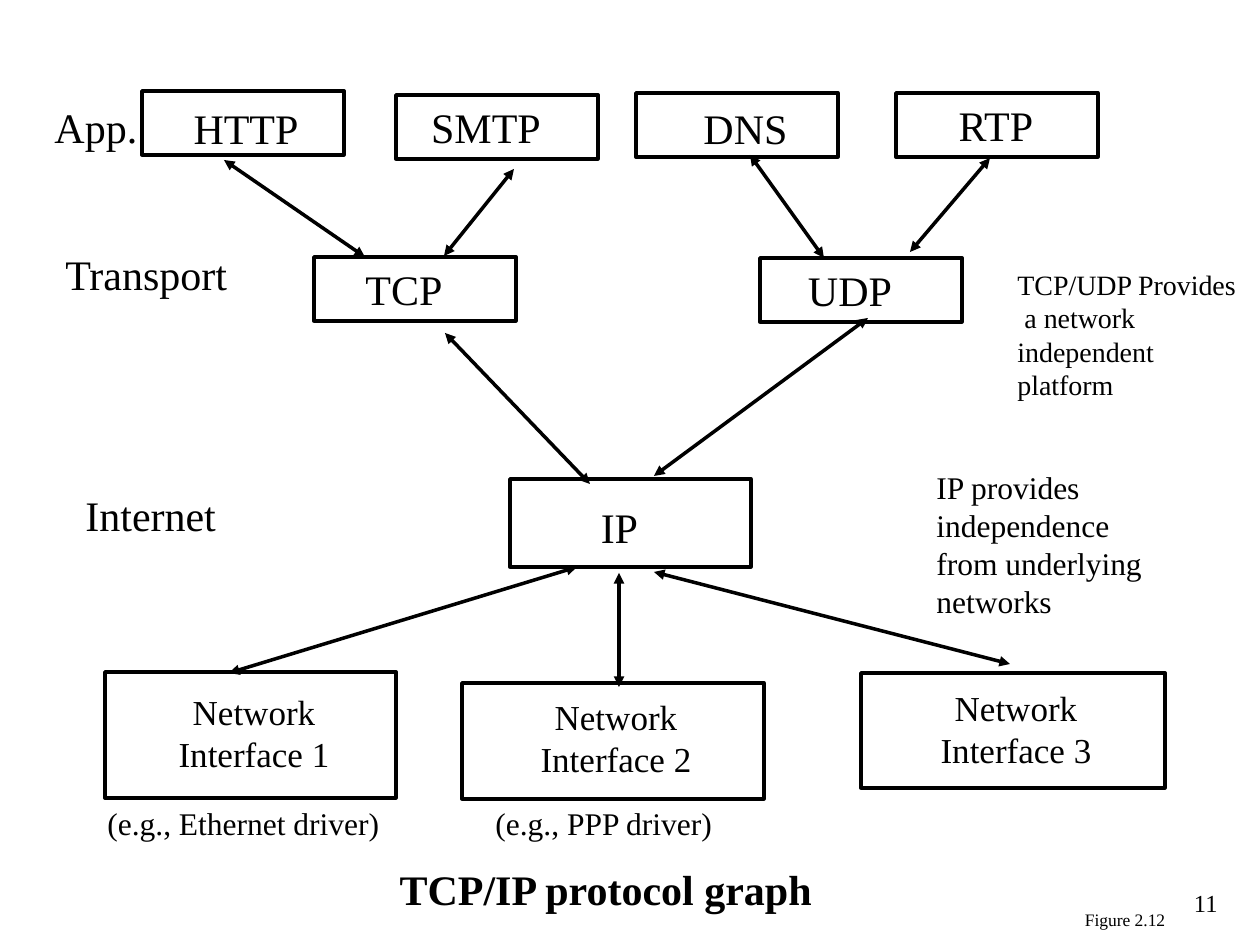
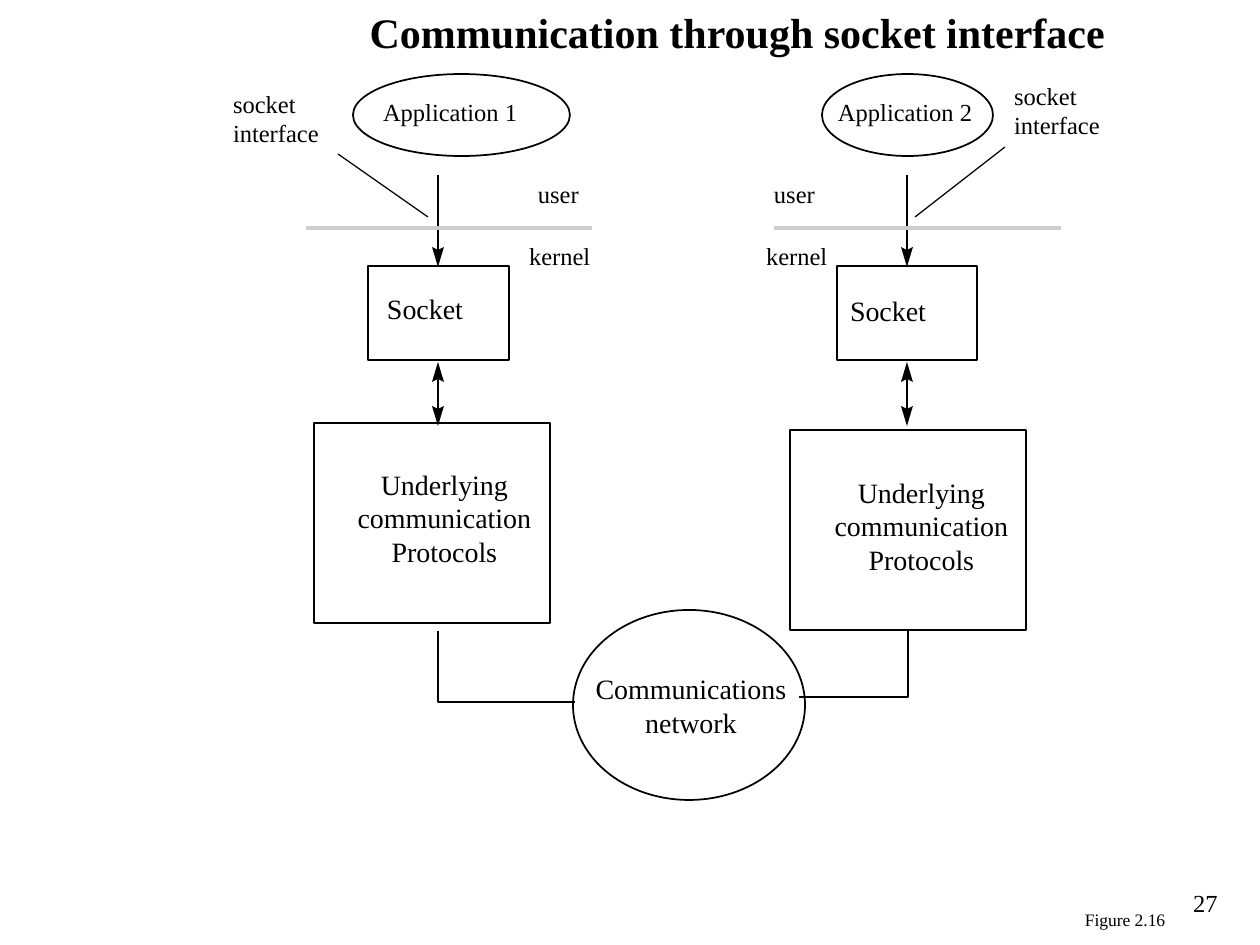
from lxml import etree
from pptx import Presentation
from pptx import util as u
from pptx.dml.color import RGBColor
from pptx.enum import shapes, text
from pptx.oxml.ns import qn

SCALE = u.Inches(1) / 126
FONT = "Times New Roman"
BLACK = RGBColor(0, 0, 0)
GREY = RGBColor(0xCE, 0xCE, 0xCE)
RECTANGLE = shapes.MSO_SHAPE.RECTANGLE
OVAL = shapes.MSO_SHAPE.OVAL
LEFT, CENTER, RIGHT = text.PP_ALIGN.LEFT, text.PP_ALIGN.CENTER, text.PP_ALIGN.RIGHT
TOP, MIDDLE = text.MSO_ANCHOR.TOP, text.MSO_ANCHOR.MIDDLE

PAGE_NUMBER_BOX = (1144, 882, 86, 63)
FIGURE_BOX = (1072, 903, 106, 34)

PROTOCOL_SIZE = (202, 64)
PROTOCOLS = [
    ("HTTP", (142, 91), (181, 96, 130, 63)),
    ("SMTP", (396, 95), (415, 95, 142, 63)),
    ("DNS", (636, 93), (688, 96, 115, 63)),
    ("RTP", (896, 93), (941, 93, 110, 63)),
    ("TCP", (314, 257), (353, 257, 102, 63)),
    ("UDP", (760, 258), (795, 258, 110, 63)),
]
IP_NODE = ("IP", (510, 479, 241, 88), (588, 495, 63, 63))
INTERFACES = [
    ("Network Interface 1", (105, 672, 291, 126), (136, 684, 236, 97)),
    ("Network Interface 2", (462, 683, 302, 116), (494, 689, 244, 97)),
    ("Network Interface 3", (861, 673, 304, 115), (893, 680, 246, 97)),
]
PROTOCOL_LINKS = [
    ((224, 160), (365, 257)),
    ((444, 256), (514, 169)),
    ((824, 258), (750, 155)),
    ((910, 252), (990, 158)),
    ((590, 484), (445, 333)),
    ((654, 476), (868, 318)),
    ((229, 673), (577, 567)),
    ((619, 687), (619, 573)),
    ((1010, 664), (654, 572)),
]
LAYER_NOTES = [
    (["App."], (42, 95, 108, 63), 24),
    (["Transport"], (53, 242, 189, 63), 24),
    (["Internet"], (73, 483, 156, 63), 24),
    (["TCP/UDP Provides", " a network", "independent", "platform"],
     (1005, 261, 246, 147), 16),
    (["IP provides", "independence", "from underlying", "networks"],
     (924, 462, 231, 164), 18),
    (["(e.g., Ethernet driver)"], (95, 798, 297, 50), 18),
    (["(e.g., PPP driver)"], (483, 798, 243, 50), 18),
]

HOSTS = [
    {
        "axis": 438,
        "application": ("Application 1", (353, 74, 217, 82), (383, 97, 158, 37)),
        "socket": ((368, 266, 141, 94), (387, 292, 118, 40)),
        "protocols": ((314, 423, 236, 200), (336, 461, 217, 113)),
        "labels": [("socket interface", (233, 89, 108, 59)),
                   ("user", (538, 179, 53, 34)), ("kernel", (529, 241, 68, 34))],
        "boundary": ((306, 228), (592, 228)),
        "pointer": ((338, 154), (428, 217)),
        "wire": [(438, 631), (438, 702), (575, 702)],
    },
    {
        "axis": 907,
        "application": ("Application 2", (822, 74, 171, 82), (838, 97, 145, 34)),
        "socket": ((837, 266, 140, 94), (850, 294, 118, 40)),
        "protocols": ((790, 430, 236, 200), (813, 469, 217, 113)),
        "labels": [("socket interface", (1014, 81, 108, 59)),
                   ("user", (774, 179, 53, 34)), ("kernel", (766, 241, 68, 34))],
        "boundary": ((774, 228), (1061, 228)),
        "pointer": ((1005, 147), (915, 217)),
        "wire": [(908, 630), (908, 697), (799, 697)],
    },
]
SHAFTS = [(175, 252), (377, 411)]
ARROW_TIPS = [(267, -1), (362, 1), (426, -1)]
NETWORK = ("Communications network", (573, 610, 232, 190), (569, 665, 244, 81))


def px(*values):
    return [round(value * SCALE) for value in values]


def write(frame, content, size=24, bold=False, align=LEFT, anchor=TOP,
          wrap=True, inset=True):
    frame.word_wrap = wrap
    frame.auto_size = text.MSO_AUTO_SIZE.NONE
    frame.vertical_anchor = anchor
    if not inset:
        frame.margin_left = frame.margin_right = 0
        frame.margin_top = frame.margin_bottom = 0
    frame.text = content
    for paragraph in frame.paragraphs:
        paragraph.alignment = align
        paragraph.space_before = u.Pt(0)
        paragraph.font.name = FONT
        paragraph.font.size = u.Pt(size)
        paragraph.font.bold = bold
        paragraph.font.color.rgb = BLACK


def add_text(slide, content, box, **style):
    write(slide.shapes.add_textbox(*px(*box)).text_frame, content, **style)


def outline(shape, width):
    shape.shadow.inherit = False
    shape.fill.background()
    shape.line.color.rgb = BLACK
    shape.line.width = u.Pt(width)


def add_outline(slide, kind, box, width):
    outline(slide.shapes.add_shape(kind, *px(*box)), width)


def add_line(slide, start, end, width, color=BLACK, arrows=False):
    line = slide.shapes.add_connector(
        shapes.MSO_CONNECTOR.STRAIGHT, *px(*start, *end))
    line.line.color.rgb = color
    line.line.width = u.Pt(width)
    if arrows:
        properties = line.line._get_or_add_ln()
        for end_name in ("a:headEnd", "a:tailEnd"):
            etree.SubElement(properties, qn(end_name), type="triangle")
    etree.SubElement(line._element.spPr, qn("a:effectLst"))


def add_path(slide, points, closed):
    builder = slide.shapes.build_freeform(*points[0], scale=SCALE)
    builder.add_line_segments(points[1:], close=closed)
    shape = builder.convert_to_shape()
    outline(shape, 0.7)
    return shape


def add_arrow_tip(slide, x, y, direction):
    base = y + 20 * direction
    notch = y + 17 * direction
    shape = add_path(slide, [(x - 6, base), (x, notch), (x + 6, base), (x, y)], True)
    shape.fill.solid()
    shape.fill.fore_color.rgb = BLACK
    shape.line.fill.background()


def add_slide(presentation, title, title_box, number, figure):
    slide = presentation.slides.add_slide(presentation.slide_layouts[5])
    heading = slide.shapes.title
    heading.left, heading.top, heading.width, heading.height = px(*title_box)
    write(heading.text_frame, title, bold=True, wrap=False)
    add_text(slide, number, PAGE_NUMBER_BOX, size=14, align=RIGHT)
    add_text(slide, figure, FIGURE_BOX, size=10, align=CENTER, anchor=MIDDLE, wrap=False)
    return slide


def build_protocol_graph(presentation):
    slide = add_slide(presentation, "TCP/IP protocol graph", (387, 857, 441, 63),
                      "11", "Figure 2.12")
    protocols = [(name, corner + PROTOCOL_SIZE, label)
                 for name, corner, label in PROTOCOLS]
    for nodes, size, wrap in ((protocols + [IP_NODE], 24, False),
                              (INTERFACES, 20, True)):
        for name, box, label in nodes:
            add_outline(slide, RECTANGLE, box, 2)
            add_text(slide, name, label, size=size, align=CENTER,
                     anchor=MIDDLE, wrap=wrap)
    for start, end in PROTOCOL_LINKS:
        add_line(slide, start, end, 2, arrows=True)
    for lines, box, size in LAYER_NOTES:
        add_text(slide, "\n".join(lines), box, size=size, wrap=False)


def add_host(slide, host):
    name, oval, label = host["application"]
    add_outline(slide, OVAL, oval, 1)
    add_text(slide, name, label, size=14, inset=False)
    for content, box in host["labels"]:
        add_text(slide, content, box, size=14, inset=False)

    socket, socket_label = host["socket"]
    add_outline(slide, RECTANGLE, socket, 1.35)
    add_text(slide, "Socket", socket_label, size=16, inset=False)
    protocols, protocols_label = host["protocols"]
    add_outline(slide, RECTANGLE, protocols, 1.35)
    add_text(slide, "Underlying communication Protocols", protocols_label,
             size=16, align=CENTER, anchor=MIDDLE)

    axis = host["axis"]
    for top, bottom in SHAFTS:
        add_line(slide, (axis, top), (axis, bottom), 1.35)
    for tip, direction in ARROW_TIPS:
        add_arrow_tip(slide, axis, tip, direction)
    add_line(slide, *host["boundary"], 2.7, color=GREY)
    add_line(slide, *host["pointer"], 0.7)
    add_path(slide, host["wire"], False)


def build_socket_interface(presentation):
    slide = add_slide(presentation, "Communication through socket interface",
                      (357, 0, 761, 63), "27", "Figure 2.16")
    for host in HOSTS:
        add_host(slide, host)
    name, oval, label = NETWORK
    add_outline(slide, OVAL, oval, 1)
    add_text(slide, name, label, size=16, align=CENTER, anchor=MIDDLE)


def main():
    presentation = Presentation()
    presentation.slide_width, presentation.slide_height = px(1260, 945)
    build_protocol_graph(presentation)
    build_socket_interface(presentation)
    presentation.save("out.pptx")


if __name__ == "__main__":
    main()
